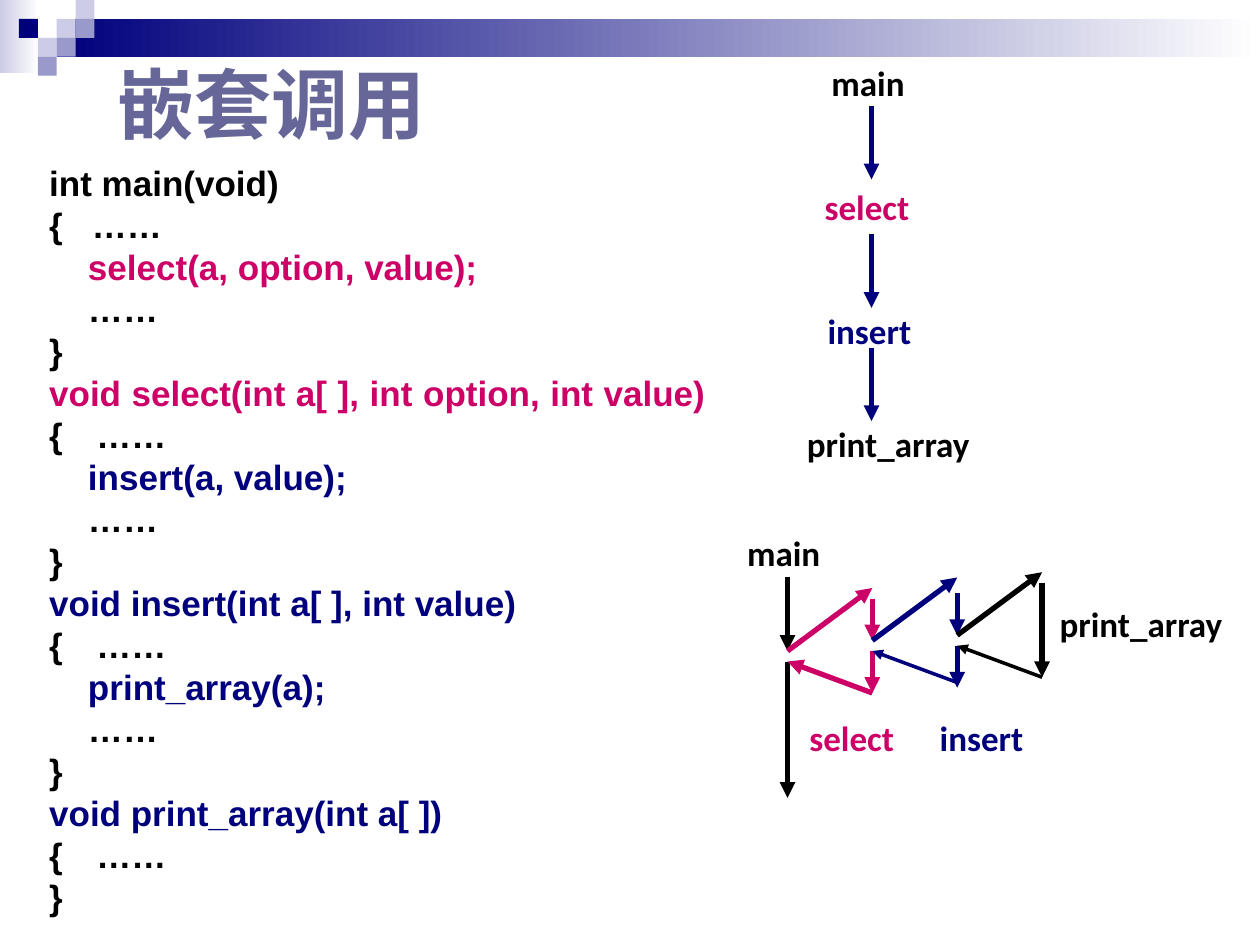
"""Build the slide on nested function calls."""
from dataclasses import dataclass

from lxml.etree import SubElement
from pptx import Presentation
from pptx.dml.color import RGBColor
from pptx.enum.shapes import MSO_CONNECTOR, MSO_SHAPE
from pptx.enum.text import MSO_ANCHOR, PP_ALIGN
from pptx.oxml.ns import qn
from pptx.util import Pt


@dataclass(frozen=True)
class Theme:
    black: str = "000000"
    navy: str = "00007D"
    magenta: str = "CC0066"
    heading: str = "666699"
    lilac: str = "CCCCE6"
    violet: str = "9999CC"
    white: str = "FFFFFF"
    code_font: str = "Arial"
    label_font: str = "Calibri"
    title_size: int = 44
    text_size: int = 20
    code_pitch: int = 24
    code_indent: float = 27


class SlideBuilder:
    def __init__(self, slide, theme):
        self.slide = slide
        self.theme = theme

    def block(self, left, top, width, height, color, fade_to=None):
        block = self.slide.shapes.add_shape(
            MSO_SHAPE.RECTANGLE, Pt(left), Pt(top), Pt(width), Pt(height))
        block.shadow.inherit = False
        block.line.fill.background()
        if fade_to is None:
            block.fill.solid()
            block.fill.fore_color.rgb = RGBColor.from_string(color)
            return
        block.fill.gradient()
        block.fill.gradient_angle = 0
        for stop, position, shade in zip(block.fill.gradient_stops, (0, 1), (color, fade_to)):
            stop.position = position
            stop.color.rgb = RGBColor.from_string(shade)

    def arrow(self, start, end, color, weight=3):
        arrow = self.slide.shapes.add_connector(
            MSO_CONNECTOR.STRAIGHT, *(Pt(value) for value in (*start, *end)))
        arrow.line.color.rgb = RGBColor.from_string(color)
        arrow.line.width = Pt(weight)
        SubElement(arrow.line._get_or_add_ln(), qn("a:tailEnd"), type="triangle")
        SubElement(arrow._element.spPr, qn("a:effectLst"))

    def frame(self, left, top, width, height):
        frame = self.slide.shapes.add_textbox(
            Pt(left), Pt(top), Pt(width), Pt(height)).text_frame
        frame.word_wrap = True
        return frame

    def style(self, paragraph, font, size, color):
        for run in paragraph.runs:
            run.font.name = font
            run.font.size = Pt(size)
            run.font.bold = True
            run.font.color.rgb = RGBColor.from_string(color)

    def title(self, text, left, top, width, height):
        frame = self.frame(left, top, width, height)
        frame.vertical_anchor = MSO_ANCHOR.MIDDLE
        frame.text = text
        self.style(frame.paragraphs[0], self.theme.code_font,
                   self.theme.title_size, self.theme.heading)

    def label(self, text, left, top, width, color, align=PP_ALIGN.CENTER):
        frame = self.frame(left, top, width, 31.5)
        frame.text = text
        frame.paragraphs[0].alignment = align
        self.style(frame.paragraphs[0], self.theme.label_font, self.theme.text_size, color)

    def code(self, lines, left, top, width, height):
        frame = self.frame(left, top, width, height)
        frame.text = "\n".join(text for text, _, _ in lines)
        indent = Pt(self.theme.code_indent)
        for paragraph, (_, color, align) in zip(frame.paragraphs, lines):
            properties = paragraph._p.get_or_add_pPr()
            properties.set("marL", str(indent))
            properties.set("indent", str(-indent))
            paragraph.alignment = align
            paragraph.line_spacing = Pt(self.theme.code_pitch)
            self.style(paragraph, self.theme.code_font, self.theme.text_size, color)


def draw_banner(builder, theme):
    cell = 10.8
    builder.block(0, 0, 22.3, 41.8, theme.lilac, theme.white)
    builder.block(3 * cell, cell, 720 - 3 * cell, 2 * cell, theme.navy, theme.white)
    mosaic = [(3, 1, theme.lilac), (4, 0, theme.lilac), (4, 1, theme.violet),
              (2, 2, theme.lilac), (1, 1, theme.navy), (3, 2, theme.violet),
              (2, 3, theme.violet)]
    for column, row, color in mosaic:
        builder.block(column * cell, row * cell, cell, cell, color)


def draw_code(builder, theme):
    functions = [
        ("int main(void)", "{   ……", "select(a, option, value);",
         theme.black, theme.magenta, PP_ALIGN.LEFT),
        ("void select(int a[ ], int option, int value) ", "{\t……", "insert(a, value);",
         theme.magenta, theme.navy, PP_ALIGN.JUSTIFY),
        ("void insert(int a[ ], int value)", "{\t……", "print_array(a);",
         theme.navy, theme.navy, PP_ALIGN.JUSTIFY),
        ("void print_array(int a[ ]) ", "{\t……", None,
         theme.navy, None, PP_ALIGN.JUSTIFY),
    ]
    lines = []
    for header, opening, call, header_color, call_color, align in functions:
        lines += [(header, header_color, align), (opening, theme.black, align)]
        if call:
            lines += [("    " + call, call_color, align), ("    ……", theme.black, align)]
        lines.append(("}", theme.black, align))
    builder.code(lines, 21, 88.6, 389.5, 436.3)


def draw_call_chain(builder, theme):
    builder.label("main", 468, 31.7, 77.8, theme.black, PP_ALIGN.LEFT)
    builder.label("select", 456.5, 102.2, 77.8, theme.magenta)
    builder.label("insert", 456.5, 173.5, 80.6, theme.navy)
    builder.label("print_array", 439.2, 237.6, 136.8, theme.black)
    for top in (60.5, 134, 198.7):
        builder.arrow((498, top), (498, top + 42), theme.navy)


def draw_call_timeline(builder, theme):
    main_x, step = 450, 48.5
    builder.arrow((main_x, 330), (main_x, 372), theme.black)
    builder.arrow((main_x, 378), (main_x, 456), theme.black)
    calls = [(372, theme.magenta, 3), (366, theme.navy, 2), (363, theme.black, 2)]
    for depth, (call_y, color, return_weight) in enumerate(calls):
        caller_x = main_x + depth * step
        callee_x = caller_x + step
        builder.arrow((caller_x, call_y), (callee_x, call_y - 36), color)
        builder.arrow((callee_x, call_y + 24), (caller_x, call_y + 6), color, return_weight)
        if depth + 1 < len(calls):
            nested_y = calls[depth + 1][0]
            builder.arrow((callee_x, nested_y - 24), (callee_x, nested_y), color)
            builder.arrow((callee_x, nested_y + 6), (callee_x, nested_y + 30), color)
        else:
            builder.arrow((callee_x, call_y - 30), (callee_x, call_y + 24), color)
    builder.label("main", 419.8, 300.2, 77.8, theme.black, PP_ALIGN.LEFT)
    builder.label("select", 450.7, 406.1, 72, theme.magenta)
    builder.label("insert", 529.9, 406.1, 79.2, theme.navy, PP_ALIGN.LEFT)
    builder.label("print_array", 592.6, 340.6, 118.8, theme.black)


def main():
    theme = Theme()
    presentation = Presentation()
    presentation.slide_width, presentation.slide_height = Pt(720), Pt(540)
    builder = SlideBuilder(
        presentation.slides.add_slide(presentation.slide_layouts[6]), theme)
    draw_banner(builder, theme)
    builder.title("嵌套调用", 59.8, 28.8, 226.8, 59.8)
    draw_code(builder, theme)
    draw_call_chain(builder, theme)
    draw_call_timeline(builder, theme)
    presentation.save("out.pptx")


if __name__ == "__main__":
    main()
